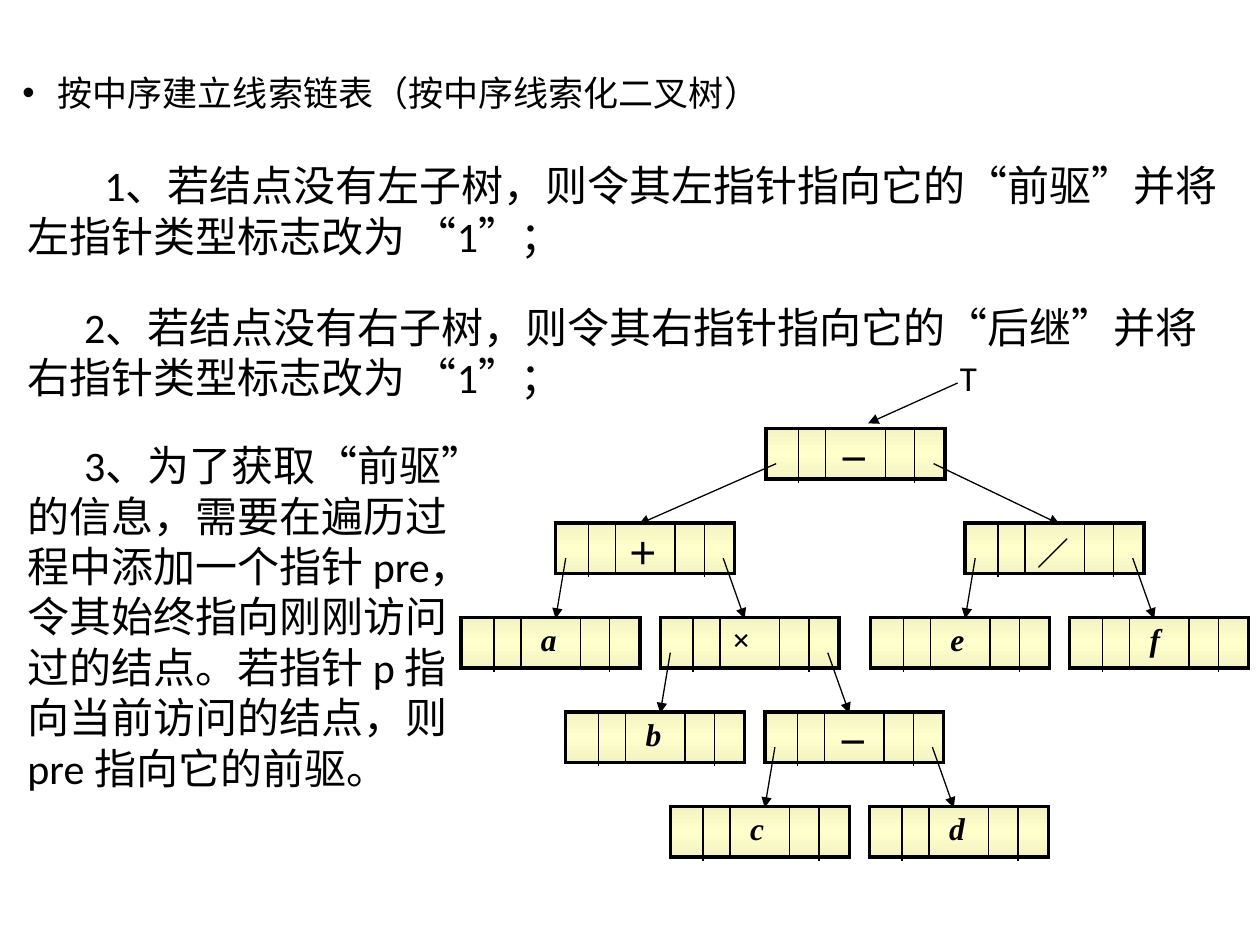
from dataclasses import dataclass
from lxml.etree import SubElement
from pptx import Presentation
from pptx.dml.color import RGBColor
from pptx.enum.shapes import MSO_CONNECTOR
from pptx.oxml import parse_xml
from pptx.oxml.ns import nsdecls, qn
from pptx.util import Inches, Pt


@dataclass(frozen=True)
class Theme:
    ink: str = "000000"
    edge: str = "F3F3C3"
    glow: str = "FFFFCC"
    body: str = "Calibri"
    head: str = "Arial"
    node: str = "Times New Roman"
    small: int = 18
    lead: int = 20
    large: int = 24
    thin: float = 0.75
    inner: float = 1
    outer: float = 2.25


def apply(target, values):
    for name, value in values.items():
        setattr(target, name, value)


class Board:
    def __init__(self, slide, theme):
        self.slide = slide
        self.theme = theme

    def letter(self, para, text, face, size, **extra):
        run = para.add_run()
        run.text = text
        apply(run.font, {"name": face, "size": Pt(size), **extra})
        run.font.color.rgb = RGBColor.from_string(self.theme.ink)

    def text(self, box, lines, size, indent=0, bullet=None):
        shape = self.slide.shapes.add_textbox(*map(Inches, box))
        frame = shape.text_frame
        frame.word_wrap = True
        for count, runs in enumerate(lines):
            para = frame.add_paragraph() if count else frame.paragraphs[0]
            props = para._p.get_or_add_pPr()
            if bullet:
                props.set("marL", str(Inches(-indent)))
                SubElement(props, qn("a:buFont"), typeface=self.theme.head)
                SubElement(props, qn("a:buChar"), char=bullet)
            if not count:
                props.set("indent", str(Inches(indent)))
            for words, face in runs:
                self.letter(para, words, face, size)

    def line(self, start, end, arrow=False):
        link = self.slide.shapes.add_connector(
            MSO_CONNECTOR.STRAIGHT, *map(Inches, (*start, *end)))
        link.line.color.rgb = RGBColor.from_string(self.theme.ink)
        link.line.width = Pt(self.theme.thin)
        props = link._element.spPr
        if arrow:
            SubElement(props.find(qn("a:ln")), qn("a:tailEnd"), type="triangle")
        SubElement(props, qn("a:effectLst"))

    def paint(self, cell, first, last):
        theme = self.theme
        props = cell._tc.get_or_add_tcPr()
        widths = {
            "L": theme.outer if first else theme.inner,
            "R": theme.outer if last else theme.inner,
            "T": theme.outer,
            "B": theme.outer,
        }
        for side, width in widths.items():
            props.append(parse_xml(
                f'<a:ln{side} {nsdecls("a")} w="{Pt(width)}"><a:solidFill>'
                f'<a:srgbClr val="{theme.ink}"/></a:solidFill></a:ln{side}>'))
        stops = "".join(
            f'<a:gs pos="{spot}"><a:srgbClr val="{tone}"/></a:gs>'
            for spot, tone in ((0, theme.edge), (50000, theme.glow), (100000, theme.edge)))
        props.append(parse_xml(
            f'<a:gradFill {nsdecls("a")}><a:gsLst>{stops}</a:gsLst>'
            '<a:lin ang="5400000" scaled="1"/></a:gradFill>'))

    def node(self, label, x, y):
        frame = self.slide.shapes.add_table(1, 3, *map(Inches, (x, y, WIDTH, HEIGHT)))
        table = frame.table
        apply(table, {"first_row": False, "horz_banding": False})
        for index, cell in enumerate(table.rows[0].cells):
            para = cell.text_frame.paragraphs[0]
            if index == 1:
                named = label.isalpha()
                cell.margin_left = Inches(0.16 if named else 0.1)
                self.letter(para, label, self.theme.node, self.theme.small,
                            bold=True, italic=named)
            else:
                para.font.size = Pt(self.theme.small / 2)
            self.paint(cell, index == 0, index == 2)
        for shift in (0.26, 1.18):
            self.line((x + shift, y + 0.01), (x + shift, y + 0.43))

    def tree(self, branch, x, y, reach):
        label, *kids = branch
        self.node(label, x, y)
        for kid, port, (shift, tip) in zip(kids, PORTS, reach):
            self.tree(kid, x + shift, y + STEP, NEAR)
            self.line((x + port, y + 0.28), (x + shift + tip, y + STEP + 0.01), True)


WIDTH, HEIGHT, STEP = 1.42, 0.4, 0.75
PORTS = (0.08, 1.33)
WIDE = ((-1.67, 0.66), (1.58, 0.75))
NEAR = ((-0.75, 0.75), (0.83, 0.67))
TREE = ("－",
        ("＋", ("a",), ("×", ("b",), ("－", ("c",), ("d",)))),
        ("／", ("e",), ("f",)))
STEPS = (
    ((0.12, 1.22, 9.8, 0.91), 0.61, (
        "1、若结点没有左子树，则令其左指针指向它的“前驱”并将",
        "左指针类型标志改为 “1”；")),
    ((0.12, 2.34, 9.66, 0.91), 0.45, (
        "2、若结点没有右子树，则令其右指针指向它的“后继”并将",
        "右指针类型标志改为 “1”；")),
    ((0.12, 3.44, 3.94, 2.93), 0.45, (
        "3、为了获取“前驱”",
        "的信息，需要在遍历过",
        "程中添加一个指针 pre，",
        "令其始终指向刚刚访问",
        "过的结点。若指针 p 指",
        "向当前访问的结点，则",
        "pre 指向它的前驱。")),
)


def main():
    deck = Presentation()
    apply(deck, {"slide_width": Inches(10), "slide_height": Inches(7.5)})
    theme = Theme()
    board = Board(deck.slides.add_slide(deck.slide_layouts[6]), theme)
    title = (("按中序", theme.head), ("建立线索链表（", theme.body),
             ("按中序线索化二叉树", theme.head), ("）", theme.body))
    board.text((0.08, 0.52, 6.3, 0.44), [title], theme.lead, -0.28, "•")
    for box, indent, lines in STEPS:
        board.text(box, [[(line, theme.body)] for line in lines], theme.large, indent)
    board.tree(TREE, 6.08, 3.4, WIDE)
    board.text((7.52, 2.78, 0.51, 0.44), [[("T", theme.body)]], theme.lead)
    board.line((7.6, 3.04), (6.89, 3.36), True)
    deck.save("out.pptx")


if __name__ == "__main__":
    main()
